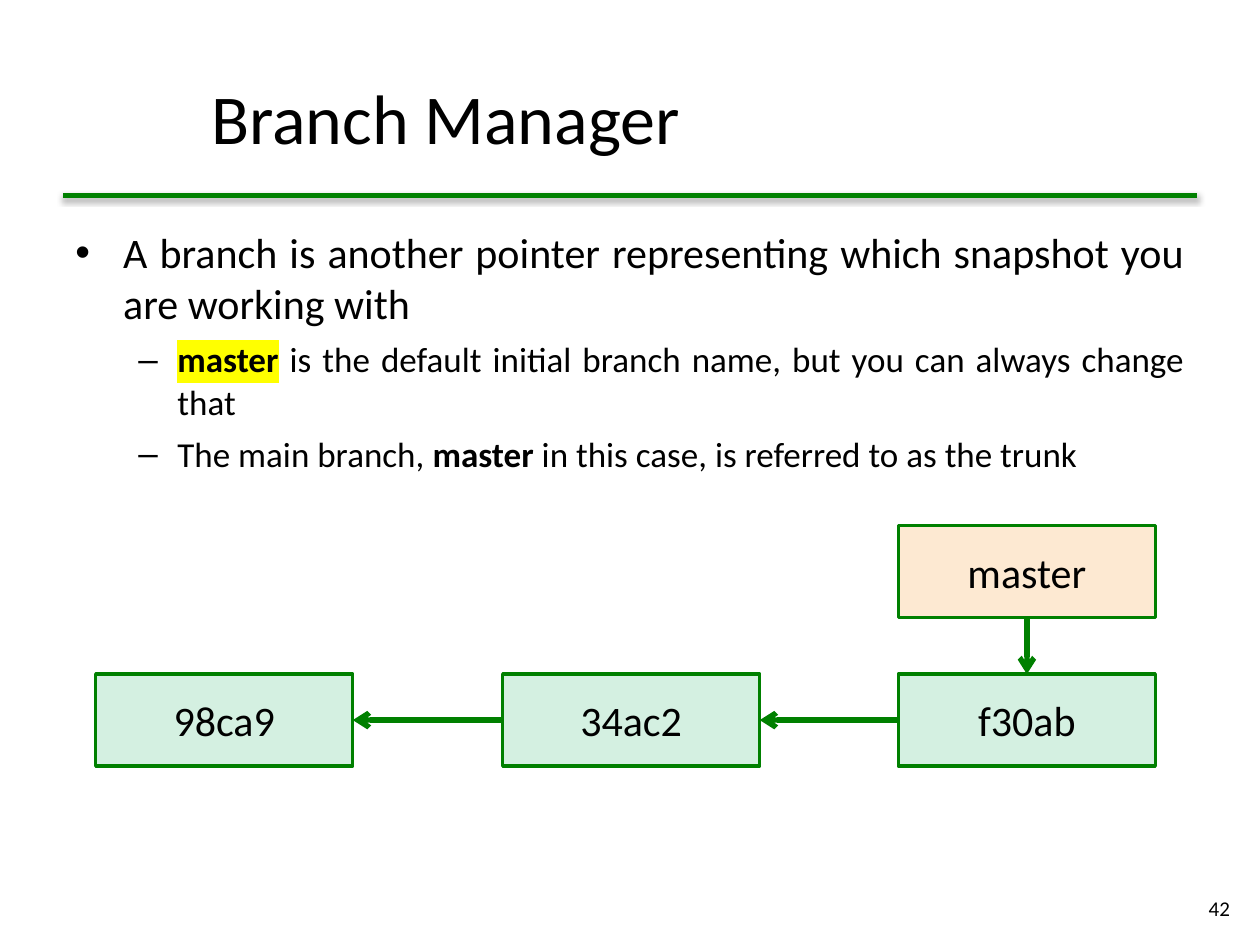
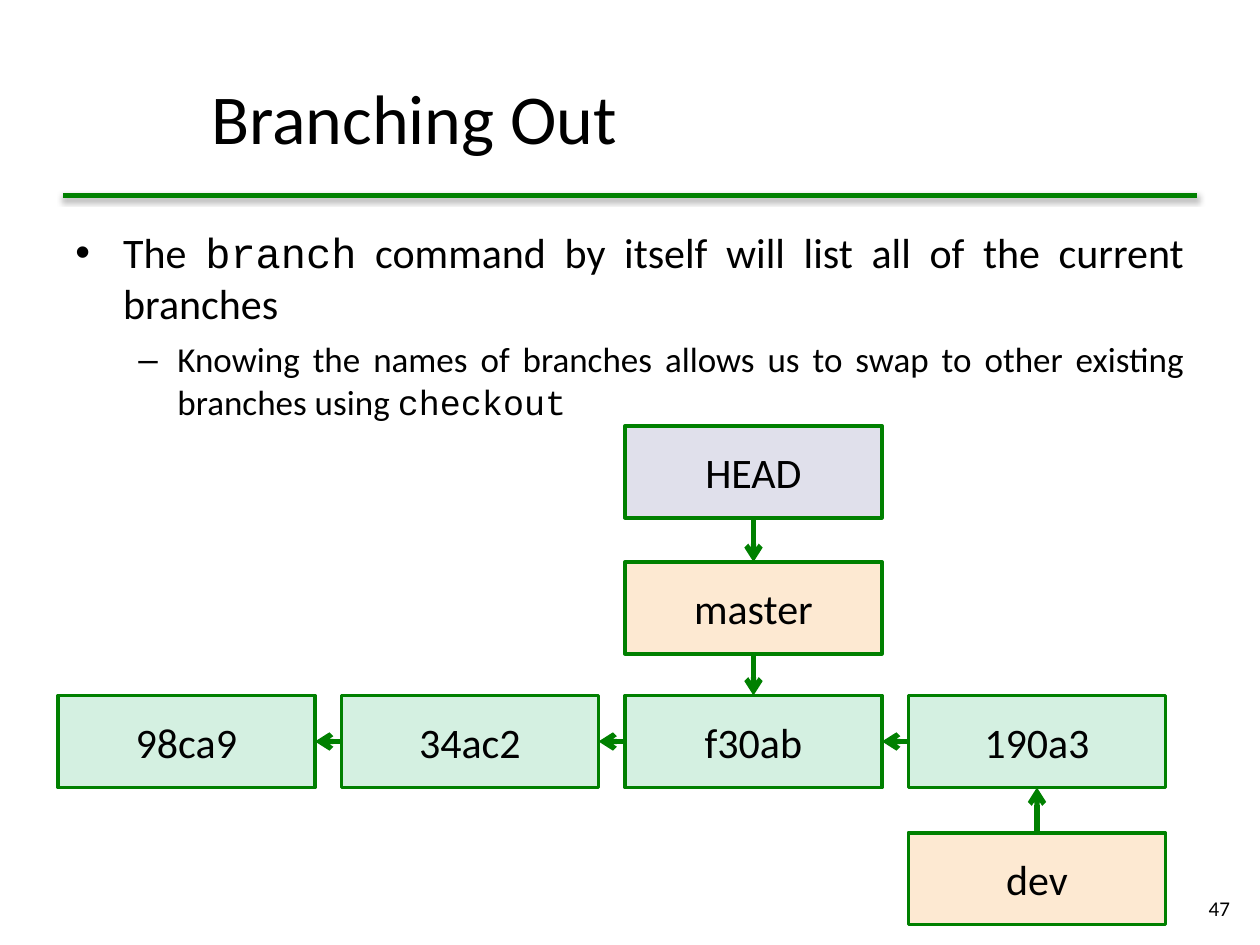
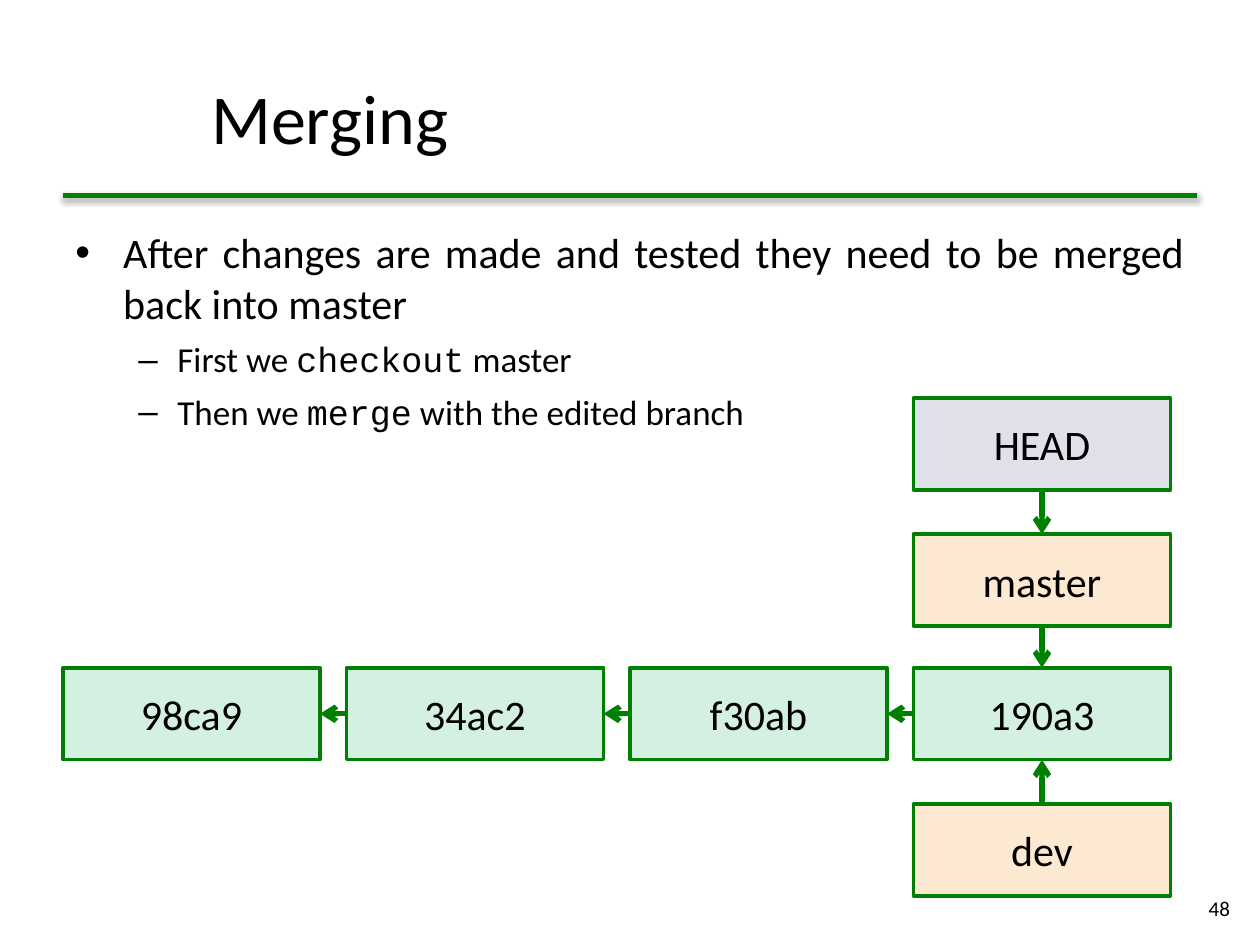
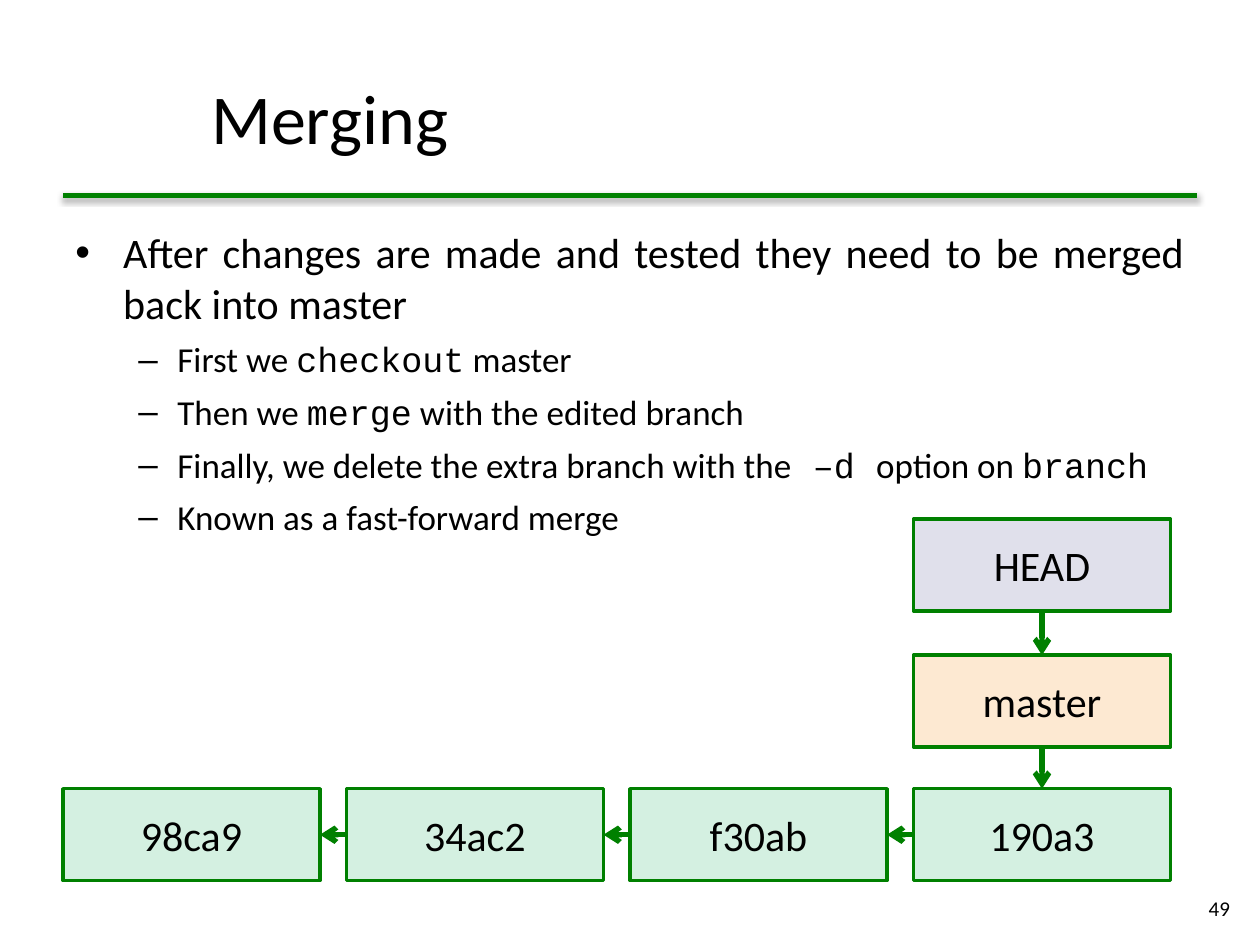
"""Build four slides on branches, swapping and merging in version control."""
from pptx import Presentation
from pptx.dml.color import RGBColor
from pptx.enum import shapes, text
from pptx.oxml import parse_xml
from pptx.oxml.ns import nsdecls, qn
from pptx.util import Inches, Pt

BLACK = RGBColor(0, 0, 0)
GREEN = RGBColor(0x00, 0x80, 0x00)
MINT = RGBColor(0xD4, 0xF0, 0xE1)
PEACH = RGBColor(0xFD, 0xE9, 0xD2)
LILAC = RGBColor(0xE0, 0xE0, 0xEB)
TINTS = {"HEAD": LILAC, "master": PEACH, "dev": PEACH}
NS = nsdecls("a")
MARK = f'<a:highlight {NS}><a:srgbClr val="FFFF00"/></a:highlight>'
SHADE = (f'<a:effectLst {NS}><a:outerShdw blurRad="39370" dist="20320" dir="5400000" '
         'rotWithShape="0"><a:srgbClr val="000000"><a:alpha val="38000"/></a:srgbClr>'
         '</a:outerShdw></a:effectLst>')
PLAIN, CODE, BOLD, LIT = "plain", "code", "bold", "lit"
WIDE, HIGH = 2.04, 0.73


def write(para, runs, size=24, align=None, mark=None, left=0, hang=0):
    """Fill a paragraph with (text, style) runs."""
    para.alignment = align
    if mark:
        para.space_after = Pt(6)
        props = para._p.get_or_add_pPr()
        props.set("marL", str(Inches(left)))
        props.set("indent", str(-Inches(hang)))
        props.append(parse_xml(f'<a:buFont {NS} typeface="Arial"/>'))
        props.append(parse_xml(f'<a:buChar {NS} char="{mark}"/>'))
    for words, style in runs:
        run = para.add_run()
        run.text = words
        font = run.font
        font.size = Pt(size)
        font.bold = style in (BOLD, LIT)
        font.color.rgb = BLACK
        if style == LIT:
            run._r.get_or_add_rPr().append(parse_xml(MARK))
        font.name = "Courier New" if style == CODE else "Calibri"


def link(slide, start, end, arrow=True):
    """Draw a green line, either an arrow or a shaded rule."""
    line = slide.shapes.add_connector(
        shapes.MSO_CONNECTOR.STRAIGHT, *(Inches(v) for v in start + end))
    line.line.color.rgb = GREEN
    line.line.width = Pt(3)
    props = line._element.spPr
    if arrow:
        props.find(qn("a:ln")).append(parse_xml(f'<a:tailEnd {NS} type="arrow"/>'))
    props.append(parse_xml(f"<a:effectLst {NS}/>" if arrow else SHADE))


merge = [
    [("After changes are made and tested they need to be merged back into master", PLAIN)],
    [("First we ", PLAIN), ("checkout", CODE), (" master", PLAIN)],
    [("Then we ", PLAIN), ("merge", CODE), (" with the edited branch", PLAIN)],
]
final = [
    [("Finally, we delete the extra branch with the", PLAIN), (" –d ", CODE),
     ("option on ", PLAIN), ("branch", CODE)],
    [("Known as a fast-forward merge", PLAIN)],
]
first = [
    [("A branch is another pointer representing which snapshot you are working with", PLAIN)],
    [("master", LIT), (" is the default initial branch name, but you can always change that", PLAIN)],
    [("The main branch, ", PLAIN), ("master", BOLD),
     (" in this case, is referred to as the trunk", PLAIN)],
]
swap = [
    [("The ", PLAIN), ("branch", CODE),
     (" command by itself will list all of the current branches", PLAIN)],
    [("Knowing the names of branches allows us to swap to other existing branches using ", PLAIN),
     ("checkout", CODE)],
]
nodes = ["98ca9", "34ac2", "f30ab", "190a3"]
near = [0.46 + 2.25 * i for i in range(4)]
even = [0.5 + 2.25 * i for i in range(4)]
heads = [("master", -1.06), ("HEAD", -2.14)]
pages = [
    (42, "Branch Manager", first, [0.76, 3.99, 7.13], 5.35, [(2, [("master", -1.18)])]),
    (47, "Branching Out", swap, near, 5.52, [(2, heads), (3, [("dev", 1.09)])]),
    (48, "Merging", merge, even, 5.3, [(3, heads), (3, [("dev", 1.08)])]),
    (49, "Merging", merge + final, even, 6.26, [(3, heads)]),
]

deck = Presentation()
deck.slide_width, deck.slide_height = Inches(10), Inches(7.5)

for number, title, points, cols, row, stacks in pages:
    slide = deck.slides.add_slide(deck.slide_layouts[6])
    link(slide, (0.5, 1.55), (9.5, 1.55), arrow=False)

    frames = []
    for area, anchor in [((1.58, 0.3, 8.27, 1.25), text.MSO_ANCHOR.MIDDLE),
                         ((9.46, 7.01, 0.4, 0.4), text.MSO_ANCHOR.MIDDLE),
                         ((0.5, 1.75, 9, 5.26), text.MSO_ANCHOR.TOP)]:
        frame = slide.shapes.add_textbox(*(Inches(v) for v in area)).text_frame
        frame.word_wrap = True
        frame.vertical_anchor = anchor
        frames.append(frame)
    head, foot, body = frames
    write(head.paragraphs[0], [(title, PLAIN)], size=40)
    write(foot.paragraphs[0], [(str(number), PLAIN)], size=12, align=text.PP_ALIGN.RIGHT)
    for i, runs in enumerate(points):
        if i:
            para = body.add_paragraph()
            para.level = 1
            form = dict(size=20, mark="–", left=0.81, hang=0.31)
        else:
            para = body.paragraphs[0]
            form = dict(size=24, mark="•", left=0.38, hang=0.38)
        write(para, runs, align=text.PP_ALIGN.JUSTIFY, **form)

    boxes = [(name, x, row) for name, x in zip(nodes, cols)]
    mid = row + HIGH / 2
    for x, after in zip(cols, cols[1:]):
        link(slide, (after, mid), (x + WIDE, mid))
    for col, refs in stacks:
        x, goal = cols[col], row
        for name, shift in refs:
            top = row + shift
            boxes.append((name, x, top))
            axis = x + WIDE / 2
            if shift > 0:
                link(slide, (axis, top), (axis, row + HIGH))
            else:
                link(slide, (axis, top + HIGH), (axis, goal))
            goal = top
    for name, x, y in boxes:
        box = slide.shapes.add_shape(
            shapes.MSO_SHAPE.RECTANGLE, Inches(x), Inches(y), Inches(WIDE), Inches(HIGH))
        box.shadow.inherit = False
        box.fill.solid()
        box.fill.fore_color.rgb = TINTS.get(name, MINT)
        box.line.color.rgb = GREEN
        box.line.width = Pt(2)
        box.text_frame.vertical_anchor = text.MSO_ANCHOR.MIDDLE
        write(box.text_frame.paragraphs[0], [(name, PLAIN)], align=text.PP_ALIGN.CENTER)

deck.save("out.pptx")
